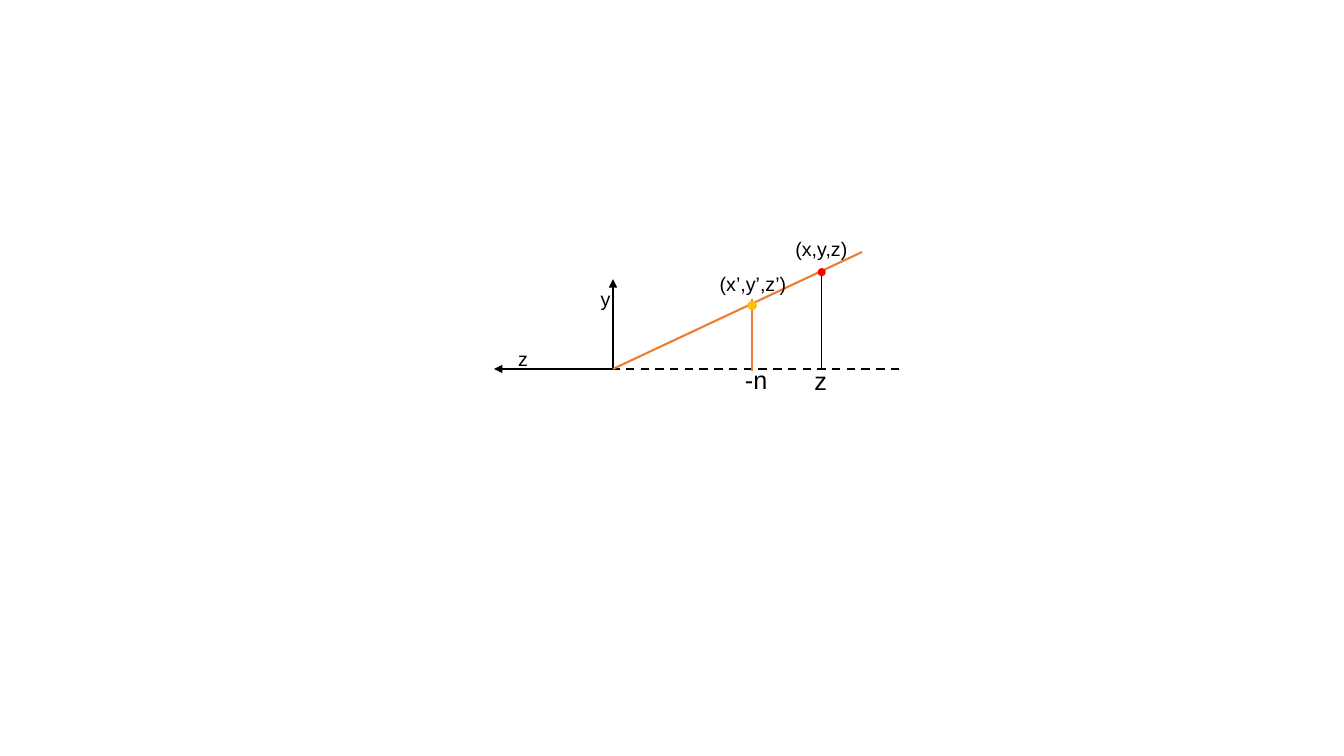
from pptx import Presentation
from pptx.dml.color import RGBColor
from pptx.enum.dml import MSO_LINE
from pptx.enum.shapes import MSO_CONNECTOR, MSO_SHAPE
from pptx.enum.text import MSO_AUTO_SIZE
from pptx.oxml.ns import qn
from pptx.util import Inches, Pt
from lxml import etree

STRAIGHT = MSO_CONNECTOR.STRAIGHT
OVAL = MSO_SHAPE.OVAL
DASH = MSO_LINE.DASH
GROW = MSO_AUTO_SIZE.SHAPE_TO_FIT_TEXT
BLACK, ORANGE, RED, GOLD = "000000", "ED7D31", "FF0000", "FFC000"
DOT = 0.08


def color(value):
    """Turn a hex string into a colour."""
    return RGBColor.from_string(value)


def add_line(slide, start, end, hue=BLACK, width=1.5, dash=None, arrow=False):
    """Draw a straight line, optionally dashed or with an arrowhead."""
    s = slide.shapes.add_connector(STRAIGHT, *map(Inches, start + end))
    s.line.color.rgb = color(hue)
    for name, value in {"width": Pt(width), "dash_style": dash}.items():
        setattr(s.line, name, value)
    if arrow:
        ln = s.line._get_or_add_ln()
        etree.SubElement(ln, qn("a:tailEnd"), type="triangle")
    etree.SubElement(s._element.spPr, qn("a:effectLst"))


def add_dot(slide, x, y, hue, outlined=False):
    """Draw a small point centred on x, y."""
    box = (x - DOT / 2, y - DOT / 2, DOT, DOT)
    s = slide.shapes.add_shape(OVAL, *map(Inches, box))
    s.shadow.inherit = False
    s.fill.solid()
    s.fill.fore_color.rgb = color(hue)
    if outlined:
        s.line.color.rgb = color(hue)
        s.line.width = Pt(1)
    else:
        s.line.fill.background()


def add_label(slide, text, box, size=14, wrap=False):
    """Write a one-line label."""
    tf = slide.shapes.add_textbox(*map(Inches, box)).text_frame
    for name, value in {"word_wrap": wrap, "auto_size": GROW}.items():
        setattr(tf, name, value)
    r = tf.paragraphs[0].add_run()
    r.text = text
    for name, value in {"name": "Arial", "size": Pt(size)}.items():
        setattr(r.font, name, value)
    r.font.color.rgb = color(BLACK)


def projection_diagram(slide, left, top, width, height):
    """Draw the projection of a point onto the near plane, seen from the side."""
    right, base = left + width, top + height
    eye = left + 1.18
    near, point = eye + 1.38, eye + 2.07

    add_line(slide, (eye, base), (left, base), arrow=True)
    add_line(slide, (eye, base), (eye, base - 0.89), arrow=True)
    add_line(slide, (right, base), (eye, base), dash=DASH)
    add_line(slide, (eye, base), (eye + 2.47, base - 1.16), ORANGE)
    add_line(slide, (point, base - 0.95), (point, base), width=0.5)
    add_line(slide, (near, base - 0.69), (near, base + 0.02), ORANGE)

    add_label(slide, "-n", (near - 0.17, base - 0.09, 0.43, 0.4), 18)
    add_label(slide, "y", (eye - 0.22, base - 0.86, 0.24, 0.34), wrap=True)
    add_label(slide, "z", (left + 0.14, base - 0.27, 0.24, 0.34), wrap=True)
    add_label(slide, "(x,y,z)", (point - 0.36, top, 0.72, 0.34))
    add_dot(slide, point, base - 0.96, RED)
    add_label(slide, "z", (point - 0.17, base - 0.08, 0.33, 0.4), 18)
    add_dot(slide, near, base - 0.63, GOLD, outlined=True)
    add_label(slide, "(x’,y’,z’)", (near - 0.42, top + 0.35, 0.86, 0.34))


prs = Presentation()
prs.slide_width, prs.slide_height = Inches(13.33), Inches(7.5)
slide = prs.slides.add_slide(prs.slide_layouts[6])
projection_diagram(slide, 4.9, 2.3, 4.02, 1.36)
prs.save("out.pptx")
